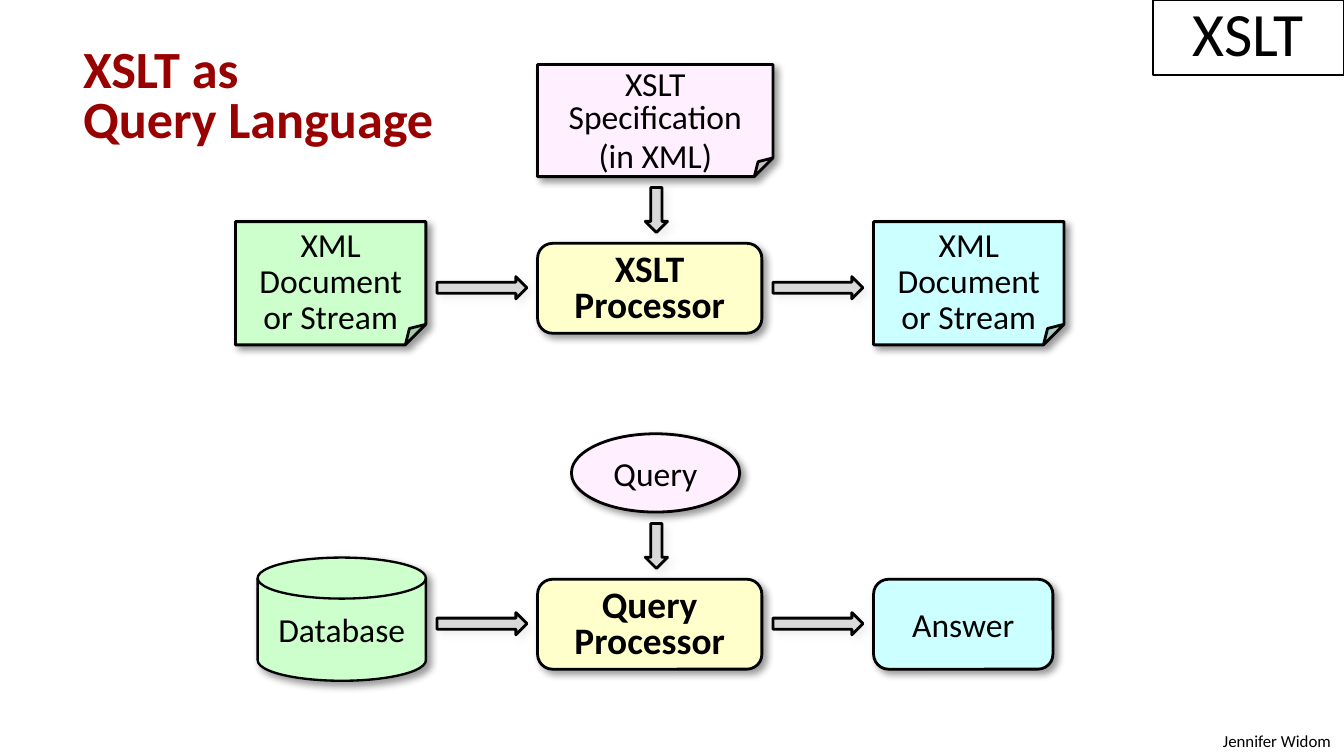
"""Builds a slide comparing XSLT processing with query processing."""
from dataclasses import dataclass

from lxml.etree import SubElement
from pptx import Presentation
from pptx.dml.color import RGBColor
from pptx.enum.shapes import MSO_SHAPE
from pptx.enum.text import MSO_ANCHOR, PP_ALIGN
from pptx.oxml.ns import qn
from pptx.shapes.autoshape import Shape
from pptx.slide import Slide
from pptx.util import Cm, Pt

BLACK, RED, GREY = "000000", "990000", "D9D9D9"
GREEN, YELLOW, CYAN, PINK = "CCFFCC", "FFFFCC", "CCFFFF", "FFEFFF"
ROW_PITCH = 6.35
DOCUMENT = ("XML", "Document", "or Stream")


@dataclass
class Node:
    """One labelled box of a flow, measured in centimetres."""
    kind: MSO_SHAPE
    left: float
    top: float
    width: float
    height: float
    fill: str
    lines: tuple[str, ...]
    size: float = 18
    bold: bool = False
    spacing: float = 1.0
    anchor: MSO_ANCHOR = MSO_ANCHOR.TOP
    outline: float = 1.5


@dataclass
class Arrow:
    """One block arrow of a flow, measured in centimetres."""
    left: float
    top: float
    length: float
    rotation: float = 0


def color(value: str) -> RGBColor:
    """Turn a hex string into a colour."""
    return RGBColor.from_string(value)


def write(shape: Shape, lines: tuple[str, ...], size: float, bold: bool = False,
          ink: str = BLACK, align: PP_ALIGN = PP_ALIGN.CENTER,
          spacing: float = 1.0, anchor: MSO_ANCHOR = MSO_ANCHOR.TOP) -> None:
    """Write one paragraph per line into a shape."""
    frame = shape.text_frame
    frame.word_wrap = True
    frame.vertical_anchor = anchor
    frame.text = "\n".join(lines)
    for para in frame.paragraphs:
        para.alignment = align
        para.line_spacing = spacing
        para.font.name = "Calibri"
        para.font.size = Pt(size)
        para.font.bold = bold
        para.font.color.rgb = color(ink)


def add_shadow(shape: Shape, tint: str) -> None:
    """Give a shape a soft shadow to the lower right."""
    shape.shadow.inherit = False
    effects = shape.element.spPr.find(qn("a:effectLst"))
    shadow = SubElement(effects, qn("a:outerShdw"), blurRad=str(Pt(4)),
                        dist=str(Pt(3)), dir="2700000", algn="tl", rotWithShape="0")
    shade = SubElement(shadow, qn("a:srgbClr"), val=tint)
    SubElement(shade, qn("a:alpha"), val="40000")


def add_block(page: Slide, kind: MSO_SHAPE, left: float, top: float, width: float,
              height: float, fill: str, outline: float = 1.5) -> Shape:
    """Draw a filled shape with a black outline."""
    shape = page.shapes.add_shape(kind, Cm(left), Cm(top), Cm(width), Cm(height))
    shape.fill.solid()
    shape.fill.fore_color.rgb = color(fill)
    shape.line.color.rgb = color(BLACK)
    shape.line.width = Pt(outline)
    return shape


def add_node(page: Slide, node: Node) -> Shape:
    """Draw a labelled box."""
    shape = add_block(page, node.kind, node.left, node.top, node.width, node.height,
                      node.fill, node.outline)
    add_shadow(shape, BLACK)
    write(shape, node.lines, node.size, node.bold, spacing=node.spacing,
          anchor=node.anchor)
    return shape


def add_arrow(page: Slide, arrow: Arrow, offset: float) -> None:
    """Draw a block arrow, moved down by the offset."""
    shape = add_block(page, MSO_SHAPE.RIGHT_ARROW, arrow.left, arrow.top + offset,
                      arrow.length, 0.42, GREY)
    shape.rotation = arrow.rotation
    add_shadow(shape, GREY)


def add_title(page: Slide) -> None:
    """Write the two-line heading."""
    title = page.shapes.add_textbox(Cm(1.07), Cm(0.79), Cm(23.06), Cm(12.65))
    write(title, ("XSLT as", "Query Language"), 28, True, RED, PP_ALIGN.LEFT, 0.8)
    for para in title.text_frame.paragraphs:
        properties = para._p.get_or_add_pPr()
        properties.set("marL", str(Cm(0.76)))
        properties.set("indent", str(Cm(-0.51)))
    para.space_after = Pt(6)


def add_labels(page: Slide) -> None:
    """Write the author's name and the topic in the corners."""
    author = page.shapes.add_textbox(Cm(22.66), Cm(13.69), Cm(2.74), Cm(0.64))
    write(author, ("Jennifer Widom",), 9, align=PP_ALIGN.RIGHT)
    topic = add_block(page, MSO_SHAPE.RECTANGLE, 21.79, 0, 3.61, 1.42, "FFFFFF", 0.75)
    topic.shadow.inherit = False
    write(topic, ("XSLT",), 33, anchor=MSO_ANCHOR.BOTTOM)


def main() -> None:
    """Build and save the deck."""
    deck = Presentation()
    deck.slide_width, deck.slide_height = Cm(25.4), Cm(14.29)
    page = deck.slides.add_slide(deck.slide_layouts[6])
    add_title(page)
    add_labels(page)

    folded, rounded = MSO_SHAPE.FOLDED_CORNER, MSO_SHAPE.ROUNDED_RECTANGLE
    middle = MSO_ANCHOR.MIDDLE
    arrows = (Arrow(8.26, 5.23, 1.7), Arrow(14.61, 5.23, 1.7),
              Arrow(11.98, 3.76, 0.85, 90))
    for row, name in enumerate(("XSLT", "Query")):
        offset = row * ROW_PITCH
        add_node(page, Node(rounded, 10.16, 4.6 + offset, 4.24, 1.7, YELLOW,
                            (name, "Processor"), 20, True, 0.8))
        for arrow in arrows:
            add_arrow(page, arrow, offset)

    for left, fill in ((4.45, GREEN), (16.51, CYAN)):
        add_node(page, Node(folded, left, 4.19, 3.6, 2.33, fill, DOCUMENT, spacing=0.9))
    specification = add_node(page, Node(
        folded, 10.16, 1.22, 4.45, 2.12, PINK,
        ("XSLT", "Specification", "(in XML)"), spacing=0.8))
    remark = specification.text_frame.paragraphs[-1]
    remark.line_spacing = 0.9
    remark.space_before = Pt(2)

    for node in (
        Node(MSO_SHAPE.FLOWCHART_MAGNETIC_DISK, 4.87, 10.54, 3.18, 2.33, GREEN,
             ("Database",), anchor=middle, outline=1.25),
        Node(MSO_SHAPE.OVAL, 10.8, 8.2, 3.18, 1.48, PINK, ("Query",), anchor=middle),
        Node(rounded, 16.51, 10.95, 3.39, 1.7, CYAN, ("Answer",), anchor=middle),
    ):
        add_node(page, node)
    deck.save("out.pptx")


if __name__ == "__main__":
    main()
